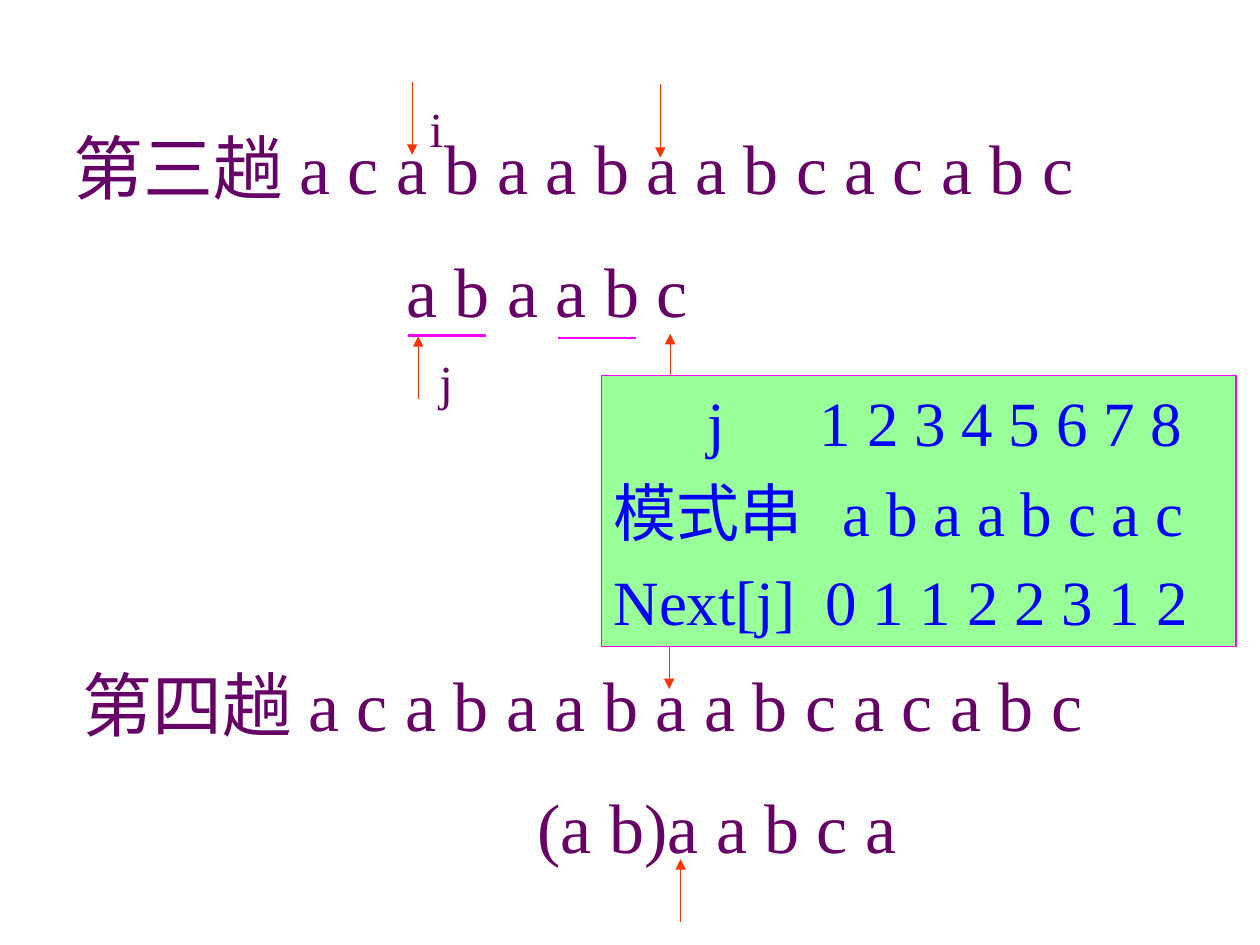
from lxml.etree import SubElement
from pptx import Presentation
from pptx.dml.color import RGBColor
from pptx.enum.shapes import MSO_CONNECTOR, MSO_SHAPE
from pptx.enum.text import MSO_ANCHOR, PP_ALIGN
from pptx.oxml.ns import qn
from pptx.util import Cm, Pt

PURPLE = RGBColor(0x66, 0x00, 0x66)
ORANGE = RGBColor(0xFF, 0x33, 0x00)
MAGENTA = RGBColor(0xFF, 0x00, 0xFF)
GREEN = RGBColor(0x99, 0xFF, 0x99)
BLUE = RGBColor(0x00, 0x00, 0xFF)
FONT = "Times New Roman"

presentation = Presentation()
presentation.slide_width = Cm(25.4)
presentation.slide_height = Cm(19.05)
slide = presentation.slides.add_slide(presentation.slide_layouts[6])


def write_lines(shape, text, size, color, space_before):
    text_frame = shape.text_frame
    text_frame.word_wrap = True
    text_frame.text = text
    for index, paragraph in enumerate(text_frame.paragraphs):
        paragraph.alignment = PP_ALIGN.LEFT
        if index:
            paragraph.space_before = Pt(space_before)
        for run in paragraph.runs:
            run.font.name = FONT
            run.font.size = Pt(size)
            run.font.color.rgb = color
    return text_frame.paragraphs


def draw_line(x1, y1, x2, y2, color, width):
    connector = slide.shapes.add_connector(
        MSO_CONNECTOR.STRAIGHT, Cm(x1), Cm(y1), Cm(x2), Cm(y2))
    connector.line.color.rgb = color
    connector.line.width = Pt(width)
    SubElement(connector._element.spPr, qn("a:effectLst"))
    return connector


passes = [
    (1.24, 2.39, "第三趟 a c a b a a b a a b c a c a b c\na b a a b c", 6.7),
    (1.42, 13.21, "第四趟 a c a b a a b a a b c a c a b c\n(a b)a a b c a", 9.17),
]
for left, top, text, pattern_indent in passes:
    box = slide.shapes.add_textbox(Cm(left), Cm(top), Cm(22.86), Cm(4.5))
    paragraphs = write_lines(box, text, 40, PURPLE, 22)
    properties = paragraphs[1]._p.get_or_add_pPr()
    properties.set("marL", str(Cm(pattern_indent)))
    properties.set("indent", "0")

for left, top, label in [(8.41, 1.86, "i"), (8.61, 6.97, "j")]:
    box = slide.shapes.add_textbox(Cm(left), Cm(top), Cm(1.7), Cm(1.45))
    write_lines(box, label, 28, PURPLE, 0)

pointers = [
    (8.31, 1.65, 3.12),
    (8.43, 8.05, 6.78),
    (13.49, 12.42, 13.89),
    (13.72, 18.59, 17.32),
    (13.31, 1.7, 3.18),
    (13.51, 8, 6.73),
]
for x, start, tip in pointers:
    arrow = draw_line(x, start, x, tip, ORANGE, 0.75)
    SubElement(arrow.line._get_or_add_ln(), qn("a:tailEnd"), type="triangle")

next_box = slide.shapes.add_shape(
    MSO_SHAPE.RECTANGLE, Cm(12.12), Cm(7.57), Cm(12.8), Cm(5.46))
next_box.shadow.inherit = False
next_box.fill.solid()
next_box.fill.fore_color.rgb = GREEN
next_box.line.color.rgb = MAGENTA
next_box.line.width = Pt(0.75)
next_box.text_frame.vertical_anchor = MSO_ANCHOR.MIDDLE
next_rows = "\tj\t1 2 3 4 5 6 7 8\n模式串\ta b a a b c a c\nNext[j]\t0 1 1 2 2 3 1 2"
paragraphs = write_lines(next_box, next_rows, 36, BLUE, 8)
for paragraph, stops in zip(paragraphs, [(1.9, 4.16), (4.62,), (4.27,)]):
    tab_list = SubElement(paragraph._p.get_or_add_pPr(), qn("a:tabLst"))
    for stop in stops:
        SubElement(tab_list, qn("a:tab"), pos=str(Cm(stop)), algn="l")

for start, end, y in [(8.23, 9.8, 6.76), (11.25, 12.83, 6.81)]:
    draw_line(start, y, end, y, MAGENTA, 1.5)

presentation.save("out.pptx")
